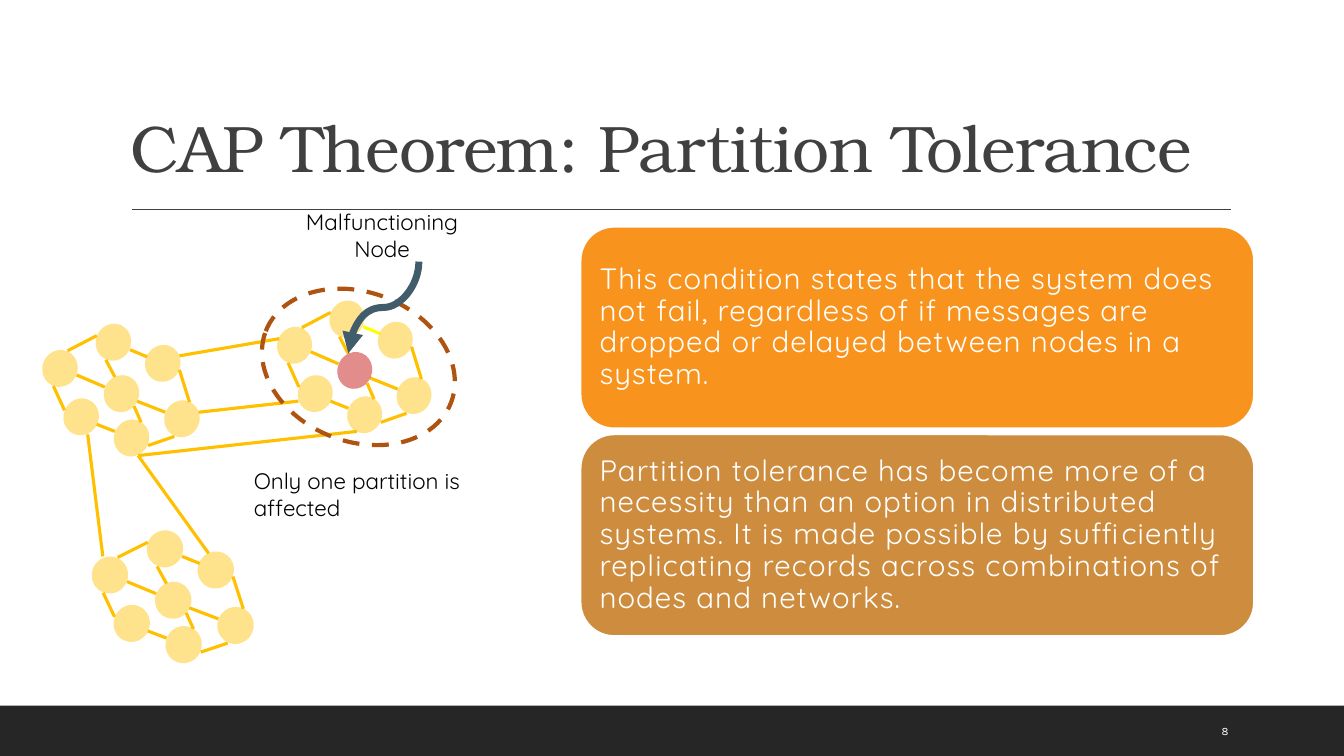
from dataclasses import dataclass

from lxml.etree import SubElement
from pptx import Presentation
from pptx.dml.color import RGBColor
from pptx.enum.dml import MSO_LINE
from pptx.enum.shapes import MSO_CONNECTOR as Link, MSO_SHAPE as Shape
from pptx.enum.text import MSO_ANCHOR as Anchor, PP_ALIGN as Align
from pptx.oxml.ns import qn
from pptx.util import Inches, Pt


@dataclass(frozen=True)
class Theme:
    ink: str = "404040"
    footer: str = "262626"
    white: str = "FFFFFF"
    black: str = "000000"
    condition: str = "F8931D"
    necessity: str = "CE8D3E"
    node: str = "FFC000"
    weak_link: str = "FFFF00"
    failed: str = "C00000"
    partition: str = "AF5310"
    pointer: str = "415C6A"
    node_opacity: int = 45
    title_font: str = "TeX Gyre Bonum"
    body_font: str = "Quicksand"
    number_font: str = "Karla"
    title_size: int = 47
    body_size: int = 21
    label_size: int = 16
    number_size: int = 8


def write(frame, text, *, size, font, color, align=Align.LEFT, anchor=Anchor.TOP,
          leading=1.0, tracking=0, inset=None):
    frame.word_wrap = True
    frame.vertical_anchor = anchor
    if inset is not None:
        frame.margin_left = frame.margin_right = inset
        frame.margin_top = frame.margin_bottom = inset
    paragraph = frame.paragraphs[0]
    paragraph.alignment = align
    paragraph.line_spacing = leading
    run = paragraph.add_run()
    run.text = text
    run.font.size = Pt(size)
    run.font.name = font
    run.font.color.rgb = RGBColor.from_string(color)
    if tracking:
        run.font._element.set("spc", str(round(tracking * 100)))


class GridSlide:
    COLUMNS, ROWS = 133.33, 75

    def __init__(self, deck, theme):
        self.theme = theme
        self.slide = deck.slides.add_slide(deck.slide_layouts[6])
        self.column = deck.slide_width / self.COLUMNS
        self.row = deck.slide_height / self.ROWS

    def place(self, *lengths):
        units = (self.column, self.row) * 2
        return [round(length * unit) for length, unit in zip(lengths, units)]

    def label(self, text, area, **style):
        box = self.slide.shapes.add_textbox(*self.place(*area))
        write(box.text_frame, text, **style)

    def shape(self, kind, area, fill=None, opacity=None, line=None, width=1, dash=None, turn=0):
        shape = self.slide.shapes.add_shape(kind, *self.place(*area))
        shape.shadow.inherit = False
        shape.rotation = turn
        if fill:
            shape.fill.solid()
            shape.fill.fore_color.rgb = RGBColor.from_string(fill)
        else:
            shape.fill.background()
        if opacity:
            tint = shape._element.spPr.find(".//" + qn("a:srgbClr"))
            SubElement(tint, qn("a:alpha"), val=str(opacity * 1000))
        if line:
            shape.line.color.rgb = RGBColor.from_string(line)
            shape.line.width = Pt(width)
            shape.line.dash_style = dash
        else:
            shape.line.fill.background()
        return shape

    def link(self, start, end, color, width=2.25, kind=Link.STRAIGHT, turn=0, arrow=False):
        link = self.slide.shapes.add_connector(kind, *self.place(*start, *end))
        link.line.color.rgb = RGBColor.from_string(color)
        link.line.width = Pt(width)
        properties = link._element.spPr
        if turn:
            properties.find(qn("a:xfrm")).set("rot", str(turn * 60000))
        if arrow:
            SubElement(properties.find(qn("a:ln")), qn("a:tailEnd"), type="triangle")
        SubElement(properties, qn("a:effectLst"))

    def panel(self, text, top, fill):
        theme = self.theme
        panel = self.shape(Shape.ROUNDED_RECTANGLE, (57.6, top, 66.8, 20), fill,
                           line=theme.white, width=1.25)
        write(panel.text_frame, text, size=theme.body_size, font=theme.body_font,
              color=theme.white, anchor=Anchor.MIDDLE, leading=0.9, tracking=0.8,
              inset=Inches(0.09))

    def cluster(self, left, top, stretch, center_color, first_link_color):
        theme = self.theme
        for index, (x1, y1, x2, y2) in enumerate(CLUSTER_LINKS):
            self.link((left + x1 * stretch, top + y1), (left + x2 * stretch, top + y2),
                      theme.node if index else first_link_color)
        for x, y in OUTER_NODES:
            self.node(left + x * stretch, top + y, stretch, theme.node)
        x, y = CENTER_NODE
        self.node(left + x * stretch, top + y, stretch, center_color)

    def node(self, left, top, stretch, color):
        self.shape(Shape.OVAL, (left, top, 3.5 * stretch, 3.7), color,
                   opacity=self.theme.node_opacity, turn=22.8)


OUTER_NODES = [(5.3, 0), (10.2, 2.1), (12.1, 7.6), (7.1, 9.5), (2.1, 7.4), (0, 2.6)]
CENTER_NODE = (6.1, 5.1)
CLUSTER_LINKS = [
    (8.7, 2.6, 10.4, 3.3), (5.4, 10, 7.2, 10.7),
    (3.4, 5.1, 6.2, 6.3), (9.4, 7.7, 12.2, 8.8),
    (2.5, 2.7, 5.4, 1.2), (10.5, 12.1, 13.1, 11.2),
    (13.6, 4.6, 14.6, 7.8), (1.1, 6.2, 2.2, 8.6),
    (6.3, 3.6, 7.2, 5.3), (9.1, 8.2, 9.8, 9.8),
]
NETWORK_LINKS = [
    ((8.7, 43.1), (10.2, 55.2)), ((13.7, 45.2), (20.7, 54.9)),
    ((17.8, 35.3), (27.7, 33.6)), ((19.7, 40.9), (29.6, 39.8)),
    ((13.7, 45.2), (35.4, 42.8)),
]


def main():
    deck = Presentation()
    deck.slide_width, deck.slide_height = Inches(13.33), Inches(7.5)
    theme = Theme()
    page = GridSlide(deck, theme)

    page.shape(Shape.RECTANGLE, (0, 70, page.COLUMNS, 5), theme.footer)
    page.link((13.1, 20.8), (122.1, 20.8), theme.ink, width=1)
    page.label("CAP Theorem: Partition Tolerance", (12, 3.1, 110, 15.9),
               size=theme.title_size, font=theme.title_font, color=theme.ink,
               anchor=Anchor.BOTTOM, leading=0.9, tracking=-0.5)
    page.label("8", (120.2, 70.5, 8.5, 4), size=theme.number_size,
               font=theme.number_font, color=theme.white, anchor=Anchor.MIDDLE)

    page.panel("This condition states that the system does not fail, regardless of if "
               "messages are dropped or delayed between nodes in a system.",
               22.5, theme.condition)
    page.panel("Partition tolerance has become more of a necessity than an option in "
               "distributed systems. It is made possible by sufficiently replicating "
               "records across combinations of nodes and networks.",
               43.1, theme.necessity)

    page.cluster(4.2, 32.1, 1, theme.node, theme.node)
    page.cluster(9.1, 52.6, 1.03, theme.node, theme.node)
    page.cluster(27.5, 29.8, 0.98, theme.failed, theme.weak_link)
    for start, end in NETWORK_LINKS:
        page.link(start, end, theme.node)

    caption = dict(size=theme.label_size, font=theme.body_font, color=theme.black)
    page.label("Malfunctioning Node", (28.4, 20.2, 19, 6.4), align=Align.CENTER, **caption)
    page.shape(Shape.OVAL, (25.7, 29, 19.7, 14.8), line=theme.partition, width=3,
               dash=MSO_LINE.DASH, turn=21.1)
    page.link((33.5, 27), (42.6, 34), theme.pointer, width=5, kind=Link.CURVE,
              turn=90, arrow=True)
    page.label("Only one partition is affected", (24.2, 45.9, 24.4, 6.4), **caption)

    deck.save("out.pptx")


if __name__ == "__main__":
    main()
